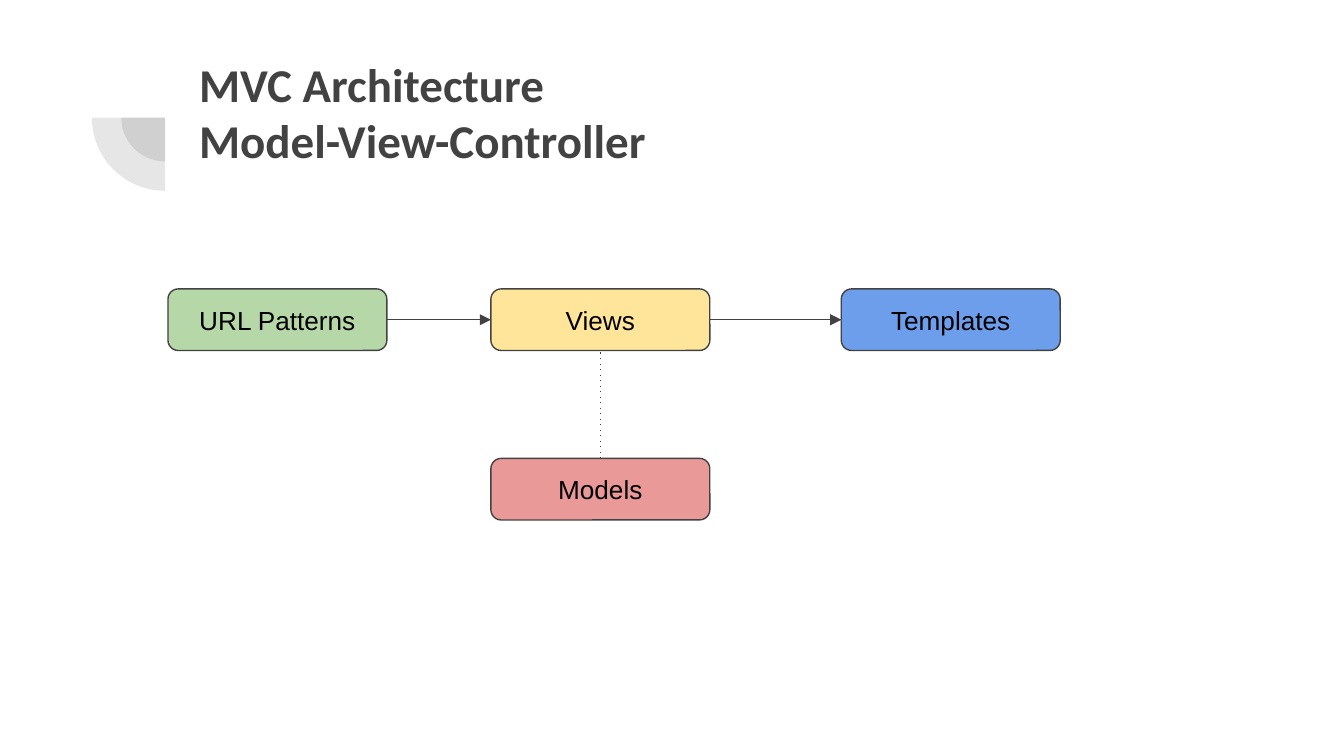
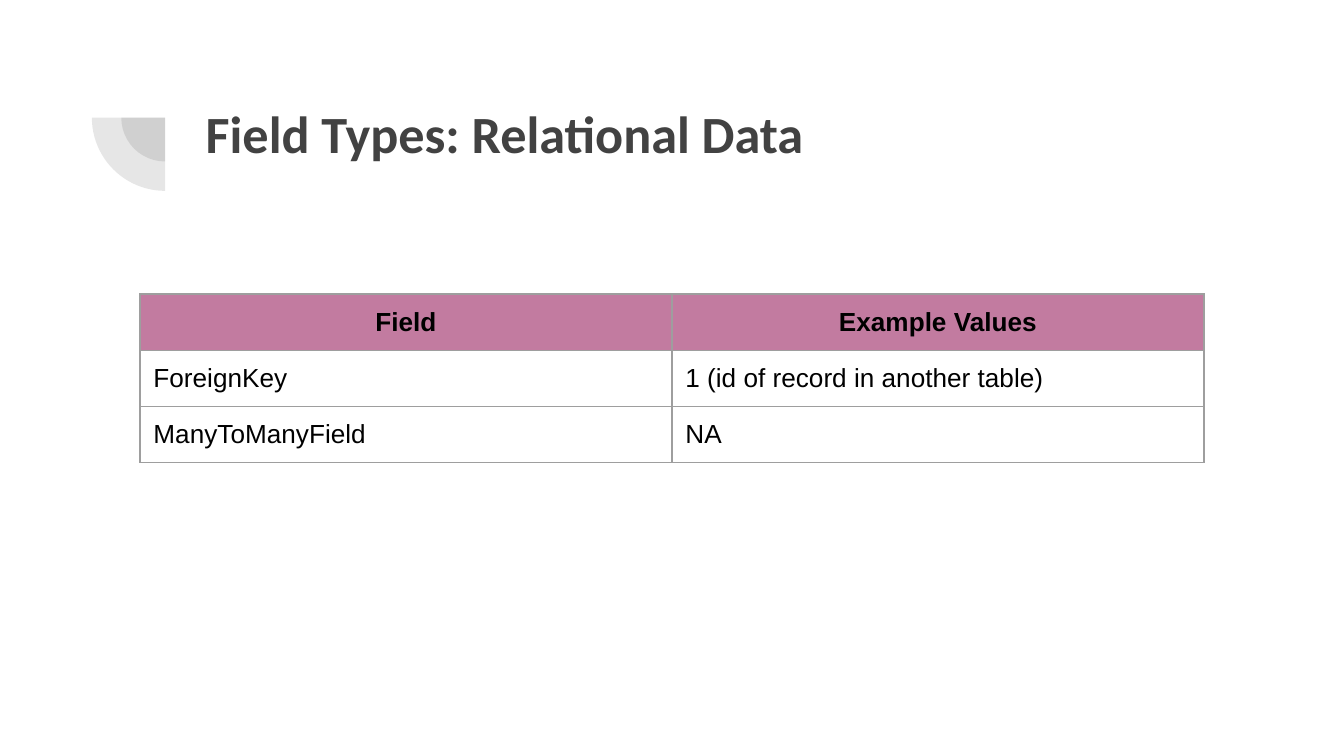
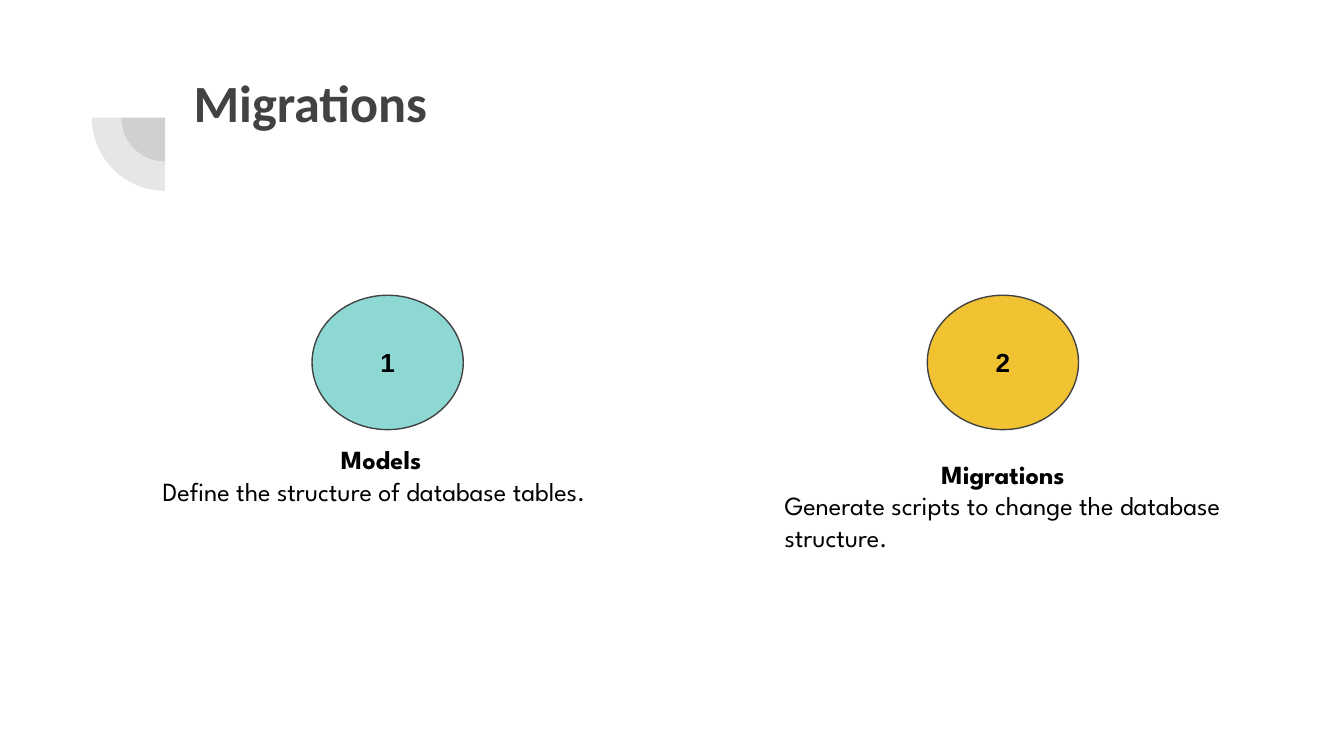
"""Build three slides on web framework architecture, field types and migrations."""
import lxml.etree
import pptx
import pptx.dml.color
import pptx.enum.shapes
import pptx.enum.text
import pptx.oxml.ns
import pptx.util

Pt = pptx.util.Pt
qn = pptx.oxml.ns.qn
SHAPE = pptx.enum.shapes.MSO_SHAPE
LINK = pptx.enum.shapes.MSO_CONNECTOR
ALIGN = pptx.enum.text.PP_ALIGN
ANCHOR = pptx.enum.text.MSO_ANCHOR
FIT = pptx.enum.text.MSO_AUTO_SIZE

GREY, BLACK, EDGE, HEAD = "424242", "000000", "9E9E9E", "C27BA0"
PAD = 7.2
PIES = [47, 78.5]
HUB = (88.5, 63)

TITLES = [
    ("MVC Architecture\nModel-View-Controller", 25.2, 99.4, 22.3),
    ("Field Types: Relational Data", 28, 103, 46.8),
    ("Migrations", 28, 96.5, 30.2),
]
BOXES = {
    "URL Patterns": (90, 154.8, "B6D7A8"),
    "Views": (263, 154.8, "FFE599"),
    "Templates": (450.7, 154.8, "6D9EEB"),
    "Models": (263, 245.6, "EA9999"),
}
TOP, LEFT, BASE, RIGHT = range(4)
LINKS = [
    ("URL Patterns", RIGHT, "Views", LEFT, ("tailEnd", {"type": "triangle"})),
    ("Views", RIGHT, "Templates", LEFT, ("tailEnd", {"type": "triangle"})),
    ("Models", TOP, "Views", BASE, ("prstDash", {"val": "dot"})),
]
FIELDS = [
    ("Field", "Example Values"),
    ("ForeignKey", "1 (id of record in another table)"),
    ("ManyToManyField", "NA"),
]
STEPS = [
    ("Models", "Define the structure of database tables.", "8DD8D3", 167.2, 80, 230.4),
    ("Migrations", "Generate scripts to change the database structure.",
     "F1C232", 496.8, 413.2, 238.3),
]


def tint(code):
    return pptx.dml.color.RGBColor.from_string(code)


def place(*spot):
    return [Pt(n) for n in spot]


def add(root, tag, **attrs):
    return lxml.etree.SubElement(root, qn("a:" + tag), attrs)


def pad(part, anchor=ANCHOR.TOP):
    part.margin_left = part.margin_right = Pt(PAD)
    part.margin_top = part.margin_bottom = Pt(PAD)
    part.vertical_anchor = anchor


def style(para, size=14, face="Arial", color=BLACK, bold=False, align=ALIGN.LEFT):
    font = para.font
    font.size, font.name, font.bold = Pt(size), face, bold
    font.color.rgb = tint(color)
    para.alignment = align


def draw(slide, kind, spot, fill):
    shape = slide.shapes.add_shape(kind, *place(*spot))
    shape.shadow.inherit = False
    shape.fill.solid()
    shape.fill.fore_color.rgb = tint(fill)
    shape.line.color.rgb = tint(GREY)
    shape.line.width = Pt(0.75)
    return shape


def label(slide, kind, spot, fill, text, bold=False):
    shape = draw(slide, kind, spot, fill)
    frame = shape.text_frame
    frame.text = text
    pad(frame, ANCHOR.MIDDLE)
    style(frame.paragraphs[0], bold=bold, align=ALIGN.CENTER)
    return shape


def brand(slide):
    for size in PIES:
        spot = (HUB[0] - size / 2, HUB[1] - size / 2, size, size)
        pie = draw(slide, SHAPE.PIE, spot, GREY)
        pie.adjustments[0], pie.adjustments[1] = 108, 162
        pie.rotation = 270
        pie.line.fill.background()
        add(pie.element.find(".//" + qn("a:srgbClr")), "alpha", val="13000")
        slide.slide_layout.shapes.element.append(pie.element)


def head(slide, text, size, left, top):
    title = slide.shapes.title
    title.left, title.top, title.width, title.height = place(left, top, 553.7, 78.5)
    frame = title.text_frame
    frame.text = text
    frame.auto_size = FIT.NONE
    pad(frame)
    for para in frame.paragraphs:
        style(para, size, "Calibri", GREY, True)


def flow(slide):
    nodes = {
        name: label(slide, SHAPE.ROUNDED_RECTANGLE, (x, y, 117.3, 33), fill, name)
        for name, (x, y, fill) in BOXES.items()
    }
    for start, out, end, into, (tag, attrs) in LINKS:
        line = slide.shapes.add_connector(LINK.STRAIGHT, 0, 0, 0, 0)
        line.begin_connect(nodes[start], out)
        line.end_connect(nodes[end], into)
        line.line.color.rgb = tint(GREY)
        line.line.width = Pt(0.75)
        add(line.line._get_or_add_ln(), tag, **attrs)
        add(line.element.spPr, "effectLst")


def frame_cell(cell):
    props = cell._tc.get_or_add_tcPr()
    for n, side in enumerate(("lnL", "lnR", "lnT", "lnB")):
        edge = lxml.etree.Element(qn("a:" + side), w=str(Pt(0.75)))
        add(add(edge, "solidFill"), "srgbClr", val=EDGE)
        props.insert(n, edge)


def grid(slide):
    rows, cols = len(FIELDS), len(FIELDS[0])
    spot = place(75, 157.5, 285 * cols, 30 * rows)
    table = slide.shapes.add_table(rows, cols, *spot).table
    table.horz_banding = False
    for r, row in enumerate(FIELDS):
        for c, text in enumerate(row):
            cell = table.cell(r, c)
            cell.text = text
            pad(cell)
            style(cell.text_frame.paragraphs[0], bold=r == 0,
                  align=ALIGN.LEFT if r else ALIGN.CENTER)
            if r:
                cell.fill.background()
            else:
                cell.fill.solid()
                cell.fill.fore_color.rgb = tint(HEAD)
            frame_cell(cell)


def steps(slide):
    for n, (name, note, fill, x, left, top) in enumerate(STEPS, 1):
        label(slide, SHAPE.OVAL, (x, 158.2, 81, 72), fill, str(n), True)
        frame = slide.shapes.add_textbox(*place(left, top, 248.4, 65.5)).text_frame
        frame.text = name + "\n" + note
        frame.word_wrap = True
        frame.auto_size = FIT.SHAPE_TO_FIT_TEXT
        pad(frame)
        first, last = frame.paragraphs
        style(first, face="League Spartan", bold=True, align=ALIGN.CENTER)
        style(last, face="League Spartan")


def main():
    deck = pptx.Presentation()
    deck.slide_width, deck.slide_height = place(720, 405)
    layout = deck.slide_layouts[5]
    for n, (title, fill) in enumerate(zip(TITLES, (flow, grid, steps))):
        slide = deck.slides.add_slide(layout)
        if n == 0:
            brand(slide)
        head(slide, *title)
        fill(slide)
    deck.save("out.pptx")


if __name__ == "__main__":
    main()
